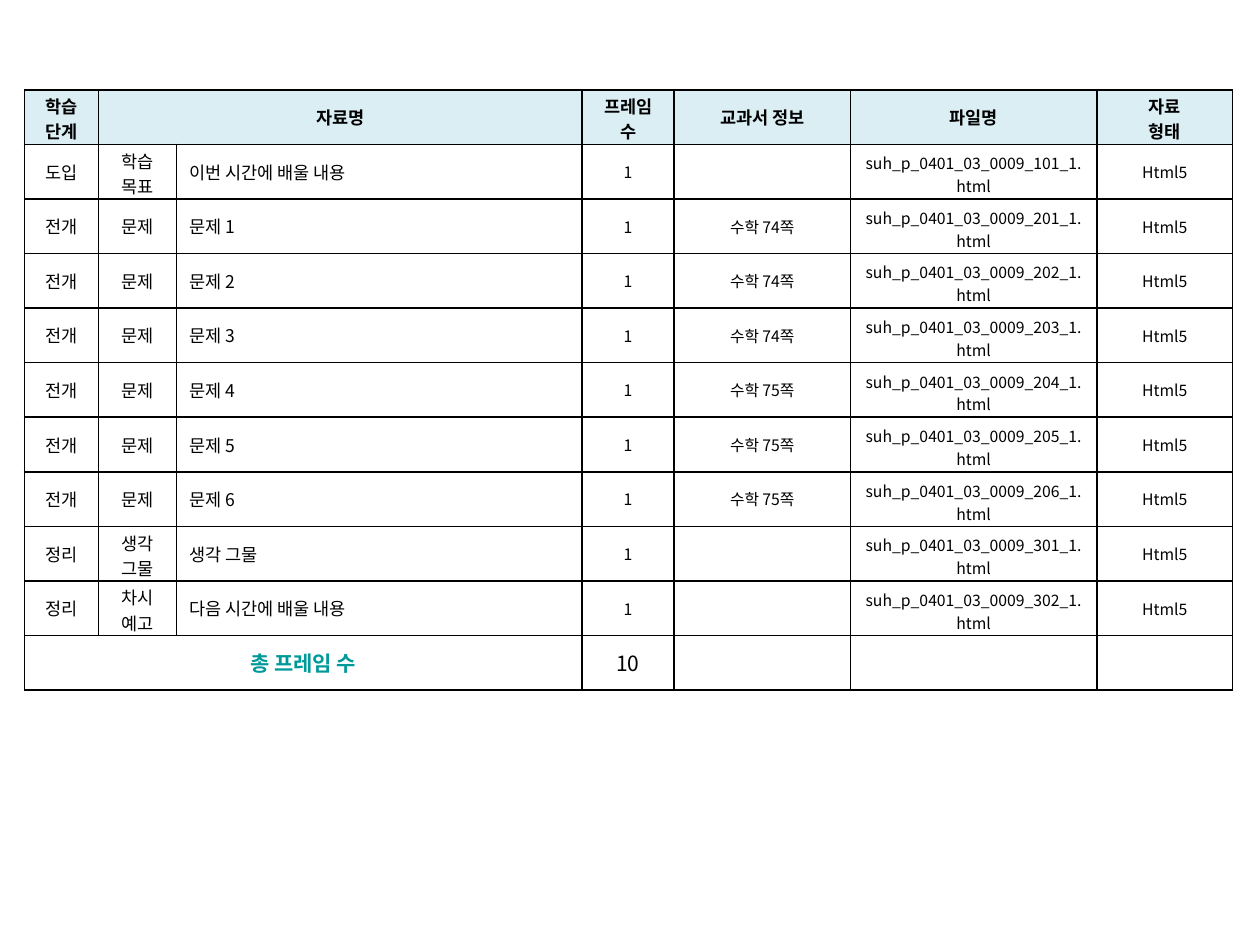
from dataclasses import dataclass

from lxml import etree
from pptx import Presentation
from pptx.dml.color import RGBColor
from pptx.enum.text import MSO_ANCHOR, PP_ALIGN
from pptx.oxml.ns import qn
from pptx.util import Cm, Pt

CENTER, LEFT = PP_ALIGN.CENTER, PP_ALIGN.LEFT
MIDDLE = MSO_ANCHOR.MIDDLE


@dataclass(frozen=True)
class Theme:
    font: str = "Noto Sans CJK KR"
    ink: RGBColor = RGBColor(0x00, 0x00, 0x00)
    total: RGBColor = RGBColor(0x00, 0x99, 0x99)
    header_fill: RGBColor = RGBColor(0xDB, 0xEE, 0xF4)
    label_size: Pt = Pt(10)
    detail_size: Pt = Pt(9)
    total_size: Pt = Pt(12)
    border: Pt = Pt(1)


THEME = Theme()


def draw_borders(cell):
    """Rule all four sides; borders must precede the fill."""
    properties = cell._tc.get_or_add_tcPr()
    for position, side in enumerate(("a:lnL", "a:lnR", "a:lnT", "a:lnB")):
        line = etree.Element(qn(side), w=str(THEME.border))
        fill = etree.SubElement(line, qn("a:solidFill"))
        etree.SubElement(fill, qn("a:srgbClr"), val=str(THEME.ink))
        properties.insert(position, line)


def write(cell, text, size, color=THEME.ink, bold=False, align=CENTER):
    cell.vertical_anchor = MIDDLE
    cell.text = text
    for paragraph in cell.text_frame.paragraphs:
        paragraph.alignment = align
        font = paragraph.font
        font.name, font.size, font.bold = THEME.font, size, bold
        font.color.rgb = color
        # Korean text takes its face from the East Asian font
        defaults = paragraph._p.pPr.find(qn("a:defRPr"))
        etree.SubElement(defaults, qn("a:ea"), typeface=THEME.font)


# Content: stage, kind, title, textbook page, file number
header = ["학습 단계", "자료명", "", "프레임 수", "교과서 정보", "파일명", "자료\n형태"]
problems = [
    ("전개", "문제", f"문제 {n}", f"수학 {74 if n <= 3 else 75}쪽", 200 + n)
    for n in range(1, 7)
]
materials = [
    ("도입", "학습\n목표", "이번 시간에 배울 내용", "", 101),
    *problems,
    ("정리", "생각\n그물", "생각 그물", "", 301),
    ("정리", "차시 예고", "다음 시간에 배울 내용", "", 302),
]
rows = [header]
for stage, kind, title, page, number in materials:
    file_name = f"suh_p_0401_03_0009_{number}_1.html"
    rows.append([stage, kind, title, "1", page, file_name, "Html5"])
rows.append(["총 프레임 수", "", "", "10", "", "", ""])
two_line_labels = {"학습 단계", "프레임 수", "자료\n형태",
                   "학습\n목표", "생각\n그물", "차시 예고"}

# Slide
prs = Presentation()
prs.slide_width, prs.slide_height = Cm(25.4), Cm(19.05)
slide = prs.slides.add_slide(prs.slide_layouts[6])

# Table grid
column_widths = [1.5, 1.57, 8.17, 1.86, 3.55, 4.97, 2.74]
row_height = 1.1
table = slide.shapes.add_table(
    len(rows), len(column_widths), Cm(0.49), Cm(1.81),
    Cm(sum(column_widths)), Cm(row_height * len(rows)),
).table
table.horz_banding = False
for column, width in zip(table.columns, column_widths):
    column.width = Cm(width)
for row in table.rows:
    row.height = Cm(row_height)

# Cells
last = len(rows) - 1
for r, values in enumerate(rows):
    for c, value in enumerate(values):
        cell = table.cell(r, c)
        if r == 0:
            write(cell, value, THEME.label_size, bold=True)
        elif r == last:
            is_label = c == 0
            color = THEME.total if is_label else THEME.ink
            write(cell, value, THEME.total_size, color, is_label)
        else:
            size = THEME.label_size if c < 3 else THEME.detail_size
            write(cell, value, size, align=LEFT if c == 2 else CENTER)
        # Two lines fit the row height only with tighter margins
        if value in two_line_labels:
            cell.margin_top, cell.margin_bottom = Cm(0.07), 0
        elif value.endswith(".html"):
            cell.margin_top, cell.margin_bottom = Cm(0.11), 0
        if r == 0:
            cell.fill.solid()
            cell.fill.fore_color.rgb = THEME.header_fill
        else:
            cell.fill.background()
        draw_borders(cell)

# Merged heading and total label
table.cell(0, 1).merge(table.cell(0, 2))
table.cell(last, 0).merge(table.cell(last, 2))

prs.save("out.pptx")
